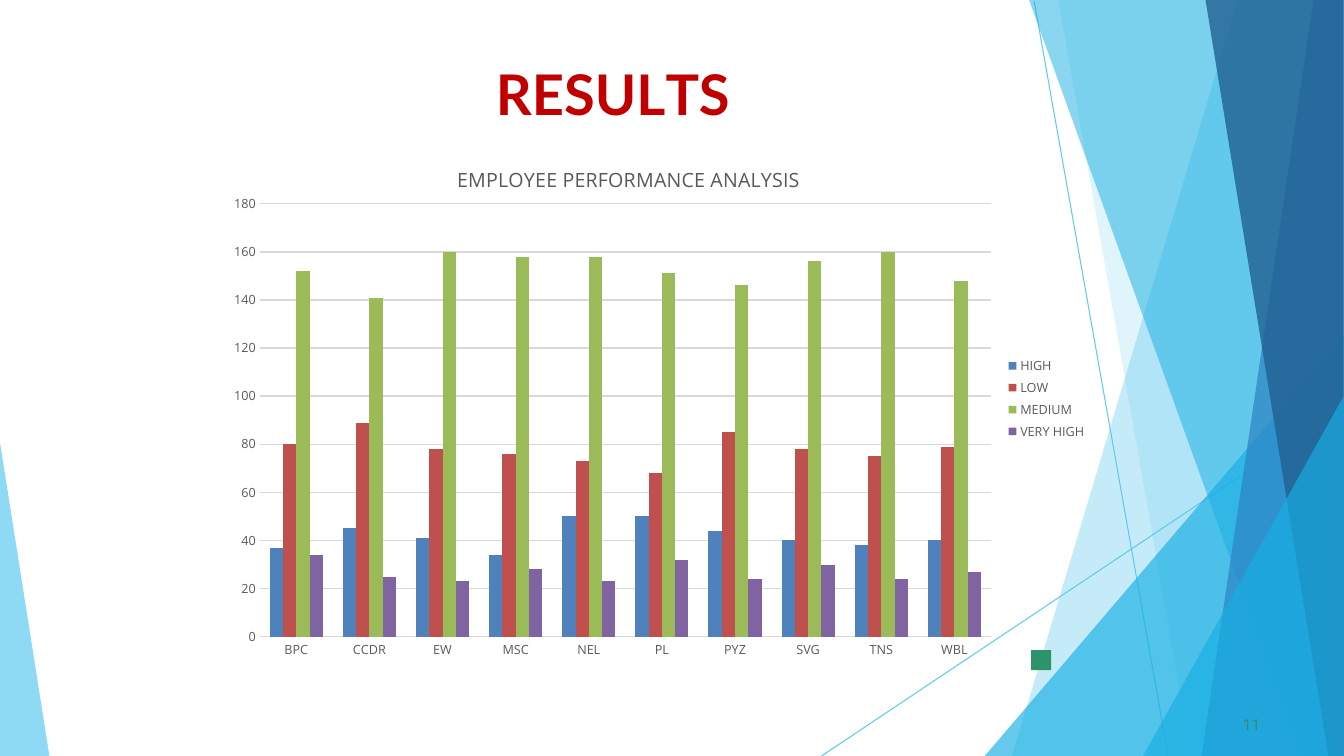
from lxml import etree
from pptx import Presentation
from pptx.chart.data import CategoryChartData
from pptx.dml.color import RGBColor
from pptx.enum.chart import XL_CHART_TYPE as CT, XL_LEGEND_POSITION as LP, XL_TICK_MARK as TM
from pptx.enum.shapes import MSO_CONNECTOR as MC, MSO_SHAPE as MS
from pptx.oxml import parse_xml
from pptx.oxml.ns import nsdecls, qn
from pptx.util import Pt

PX = 9144  # 100 px to the inch
W, H = 1333, 750
COLORS = {"sky": "5FCAEE", "cyan": "17AFE3", "blue": "2D83C3", "navy": "226192",
          "green": "2D936B", "title": "C00000", "text": "595959", "grid": "D9D9D9",
          "HIGH": "4F81BD", "LOW": "C0504D", "MEDIUM": "9BBB59", "VERY HIGH": "8064A2"}

# Content
LINES = [(1026, 1, 1159, H), (W, 404, 815, H)]
FACETS = [  # colour, opacity in percent, corners
    ("sky", 36, [(W, 0), (1228, 0), (1004, H), (W, H)]),
    ("sky", 20, [(W, 0), (1050, 0), (1182, H), (W, H)]),
    ("cyan", 66, [(W, 333), (977, H), (W, H)]),
    ("cyan", 50, [(W, 0), (1021, 0), (1291, H), (W, H)]),
    ("blue", 70, [(W, 0), (1303, 0), (1192, H), (W, H)]),
    ("navy", 80, [(W, 0), (1196, 0), (1318, H), (W, H)]),
    ("cyan", 66, [(W, 393), (1134, H), (W, H)]),
    ("sky", 70, [(0, 439), (0, H), (49, H)]),
]
MARKER = (1023, 645, 20, 20)
# box, top inset, space before, size, font, colour, bold, runs with letter spacing in 1/100 pt
TEXTS = [
    ((492, 58, 342, 69), 1, 1, 40, "Lato", "title", True,
     [("R", 0), ("E", -40), ("S", 10), ("U", -30), ("L", -400), ("TS", 0)]),
    ((1233, 708, 40, 21), 1, 0.6, 11, "Roboto", "green", False, [("11", 10)]),
]
CHART_BOX = (214, 127, 874, 537)
CHART_TITLE = "EMPLOYEE PERFORMANCE ANALYSIS"
CHART_FONT = "Open Sans"
UNITS = ["BPC", "CCDR", "EW", "MSC", "NEL", "PL", "PYZ", "SVG", "TNS", "WBL"]
SERIES = {
    "HIGH": [37, 45, 41, 34, 50, 50, 44, 40, 38, 40],
    "LOW": [80, 89, 78, 76, 73, 68, 85, 78, 75, 79],
    "MEDIUM": [152, 141, 160, 158, 158, 151, 146, 156, 160, 148],
    "VERY HIGH": [34, 25, 23, 28, 23, 32, 24, 30, 24, 27],
}
# Chart layout as shares of the chart box
TITLE_LAYOUT = {"x": 0.27, "y": 0.06}
PLOT_LAYOUT = {"x": 0.05, "y": 0.14, "w": 0.83, "h": 0.8}


def emu(box):
    return [v * PX for v in box]


def rgb(name):
    return RGBColor.from_string(COLORS[name])


def paint(sp, color, opacity=100):
    sp.shadow.inherit = False
    sp.fill.solid()
    sp.fill.fore_color.rgb = rgb(color)
    sp.line.fill.background()
    if opacity < 100:
        clr = sp.fill._xPr.find(qn("a:solidFill"))[0]
        etree.SubElement(clr, qn("a:alpha")).set("val", str(opacity * 1000))


def style(font, size, color="text", name=CHART_FONT, bold=False):
    font.size, font.name, font.bold = Pt(size), name, bold
    font.color.rgb = rgb(color)


def set_layout(parent, shares, inner=False):
    target = '<c:layoutTarget val="inner"/>' if inner else ""
    modes = "".join(f'<c:{k}Mode val="edge"/>' for k in "xy")
    values = "".join(f'<c:{k} val="{v}"/>' for k, v in shares.items())
    for old in parent.findall(qn("c:layout")):
        parent.remove(old)
    layout = parse_xml(f'<c:layout {nsdecls("c")}><c:manualLayout>{target}{modes}{values}'
                       '</c:manualLayout></c:layout>')
    tx = parent.find(qn("c:tx"))
    parent.insert(0 if tx is None else 1, layout)


prs = Presentation()
prs.slide_width, prs.slide_height = 12192000, H * PX
s = prs.slides.add_slide(prs.slide_layouts[6])

# Background lines and facets
for ends in LINES:
    line = s.shapes.add_connector(MC.STRAIGHT, *emu(ends))
    line.line.color.rgb = rgb("sky")
    line.line.width = Pt(0.75)
    etree.SubElement(line._element.spPr, qn("a:effectLst"))
for color, opacity, corners in FACETS:
    fb = s.shapes.build_freeform(*corners[0], scale=PX)
    fb.add_line_segments(corners[1:], close=True)
    paint(fb.convert_to_shape(), color, opacity)
paint(s.shapes.add_shape(MS.RECTANGLE, *emu(MARKER)), "green")

# Title and page number
for box, top, before, size, font, color, bold, runs in TEXTS:
    tf = s.shapes.add_textbox(*emu(box)).text_frame
    tf.word_wrap = True
    tf.margin_left = tf.margin_right = tf.margin_bottom = 0
    tf.margin_top = top * PX
    p = tf.paragraphs[0]
    p.space_before = Pt(before)
    for text, spacing in runs:
        r = p.add_run()
        r.text = text
        style(r.font, size, color, font, bold)
        r._r.get_or_add_rPr().set("spc", str(spacing))

# Chart
data = CategoryChartData()
data.categories = UNITS
for name, values in SERIES.items():
    data.add_series(name, values)
chart = s.shapes.add_chart(CT.COLUMN_CLUSTERED, *emu(CHART_BOX), data).chart
style(chart.font, 10)
chart.has_title = True
title = chart.chart_title
title.text_frame.text = CHART_TITLE
style(title.text_frame.paragraphs[0].runs[0].font, 14)
title.include_in_layout = False
set_layout(title._element, TITLE_LAYOUT)
set_layout(chart._chartSpace.chart.plotArea, PLOT_LAYOUT, inner=True)

plot = chart.plots[0]
plot.gap_width, plot.overlap = 150, 0
plot.vary_by_categories = False
for ser in plot.series:
    ser.format.fill.solid()
    ser.format.fill.fore_color.rgb = rgb(ser.name)

for axis in (chart.category_axis, chart.value_axis):
    axis.major_tick_mark = axis.minor_tick_mark = TM.NONE
    axis.format.line.fill.background()
    style(axis.tick_labels.font, 9)
va = chart.value_axis
va.minimum_scale, va.maximum_scale, va.major_unit = 0, 180, 20
va.major_gridlines.format.line.color.rgb = rgb("grid")
va.major_gridlines.format.line.width = Pt(1)

chart.has_legend = True
chart.legend.position = LP.RIGHT
chart.legend.include_in_layout = False
style(chart.legend.font, 9)

prs.save("out.pptx")
